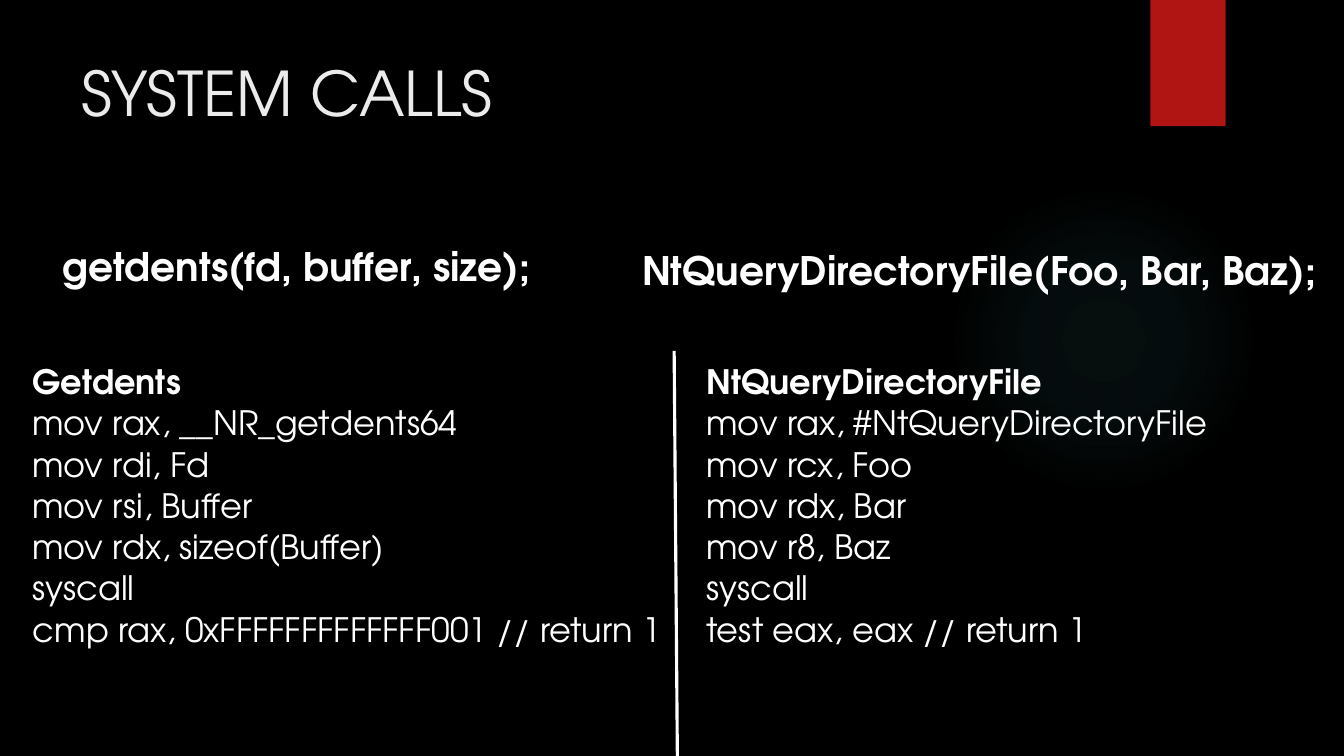
import pptx
import pptx.dml.color
import pptx.enum.shapes
import pptx.enum.text
import pptx.oxml
import pptx.oxml.ns
import pptx.util

Cm = pptx.util.Cm
Shape = pptx.enum.shapes.MSO_SHAPE
Anchor = pptx.enum.text.MSO_ANCHOR
qn = pptx.oxml.ns.qn

theme = {
    "font": "TeX Gyre Adventor",
    "back": "000000", "text": "FFFFFF", "title": "EBEBEB",
    "tab": "B01513", "glow": "50B9C1",
    "head": 44, "call": 28, "code": 24,
}


def color(name):
    return pptx.dml.color.RGBColor.from_string(theme[name])


def write(frame, text, size, tint="text", bold=False):
    """Add one styled run to the first paragraph of a text frame."""
    run = frame.paragraphs[0].add_run()
    run.text = text
    run.font.name = theme["font"]
    run.font.size = pptx.util.Pt(theme[size])
    run.font.bold = bold
    run.font.color.rgb = color(tint)


deck = pptx.Presentation()
deck.slide_width, deck.slide_height = Cm(33.87), Cm(19.05)
slide = deck.slides.add_slide(deck.slide_layouts[6])
slide.background.fill.solid()
slide.background.fill.fore_color.rgb = color("back")
shapes = slide.shapes

# Faint round glow, fading out from its centre
glow = shapes.add_shape(Shape.OVAL, Cm(23.9), Cm(4.65), Cm(7.82), Cm(7.82))
glow.shadow.inherit = False
glow.line.fill.background()
glow.fill.background()
stops = "".join(
    f'<a:gs pos="{pos * 1000}"><a:srgbClr val="{theme["glow"]}">'
    f'<a:alpha val="{alpha * 1000}"/></a:srgbClr></a:gs>'
    for pos, alpha in ((0, 7), (36, 6), (69, 0)))
fade = pptx.oxml.parse_xml(
    f'<a:gradFill {pptx.oxml.ns.nsdecls("a")}><a:gsLst>{stops}</a:gsLst>'
    '<a:path path="circle"><a:fillToRect l="50000" t="50000" r="50000" b="50000"/>'
    '</a:path></a:gradFill>')
props = glow.element.spPr
props.replace(props.find(qn("a:noFill")), fade)

# Red tab at the top edge
tab = shapes.add_shape(Shape.RECTANGLE, Cm(28.99), 0, Cm(1.9), Cm(3.18))
tab.shadow.inherit = False
tab.fill.solid()
tab.fill.fore_color.rgb = color("tab")
tab.line.fill.background()

# Title and the two calls
labels = [
    ("SYSTEM CALLS", 1.8, 1.27, 27.94, 3.89, "head", "title", False, True),
    ("NtQueryDirectoryFile(Foo, Bar, Baz);", 15.93, 6.07, 17.6, 1.45,
     "call", "text", True, False),
    ("getdents(fd, buffer, size);", 1.32, 5.99, 13.84, 1.45,
     "call", "text", True, True),
]
for text, left, top, width, height, size, tint, bold, wrap in labels:
    box = shapes.add_textbox(Cm(left), Cm(top), Cm(width), Cm(height))
    box.text_frame.word_wrap = wrap
    write(box.text_frame, text, size, tint, bold)

# Code side by side
code = [
    ("Getdents", "NtQueryDirectoryFile"),
    ("mov rax, __NR_getdents64", "mov rax, #NtQueryDirectoryFile"),
    ("mov rdi, Fd", "mov rcx, Foo"),
    ("mov rsi, Buffer", "mov rdx, Bar"),
    ("mov rdx, sizeof(Buffer)", "mov r8, Baz"),
    ("syscall", "syscall"),
    ("cmp rax, 0xFFFFFFFFFFFFF001 // return 1", "test eax, eax // return 1"),
]
pitch = 1.04
frame = shapes.add_table(len(code), 2, Cm(0.56), Cm(9.19),
                         Cm(32.97), Cm(pitch * len(code)))
table = frame.table
table.first_row = table.horz_banding = False
# Table style without fills or grid lines
style = next(frame.element.iter(qn("a:tableStyleId")))
style.text = "{2D5ABB26-0587-4C30-8999-92F81FD0307C}"
table.columns[0].width, table.columns[1].width = Cm(16.99), Cm(15.98)
for row, pair in enumerate(code):
    table.rows[row].height = Cm(pitch)
    for col, text in enumerate(pair):
        cell = table.cell(row, col)
        cell.fill.background()
        cell.margin_top = cell.margin_bottom = 0
        cell.vertical_anchor = Anchor.MIDDLE
        write(cell.text_frame, text, "code", bold=row == 0)

# Divider between the columns
rule = shapes.add_connector(pptx.enum.shapes.MSO_CONNECTOR.STRAIGHT,
                            Cm(16.99), Cm(8.84), Cm(17.07), Cm(19.05))
rule.line.color.rgb = color("text")
rule.line.width = pptx.util.Pt(2.25)
rule.element.spPr.append(pptx.oxml.parse_xml(
    f'<a:effectLst {pptx.oxml.ns.nsdecls("a")}/>'))

deck.save("out.pptx")
